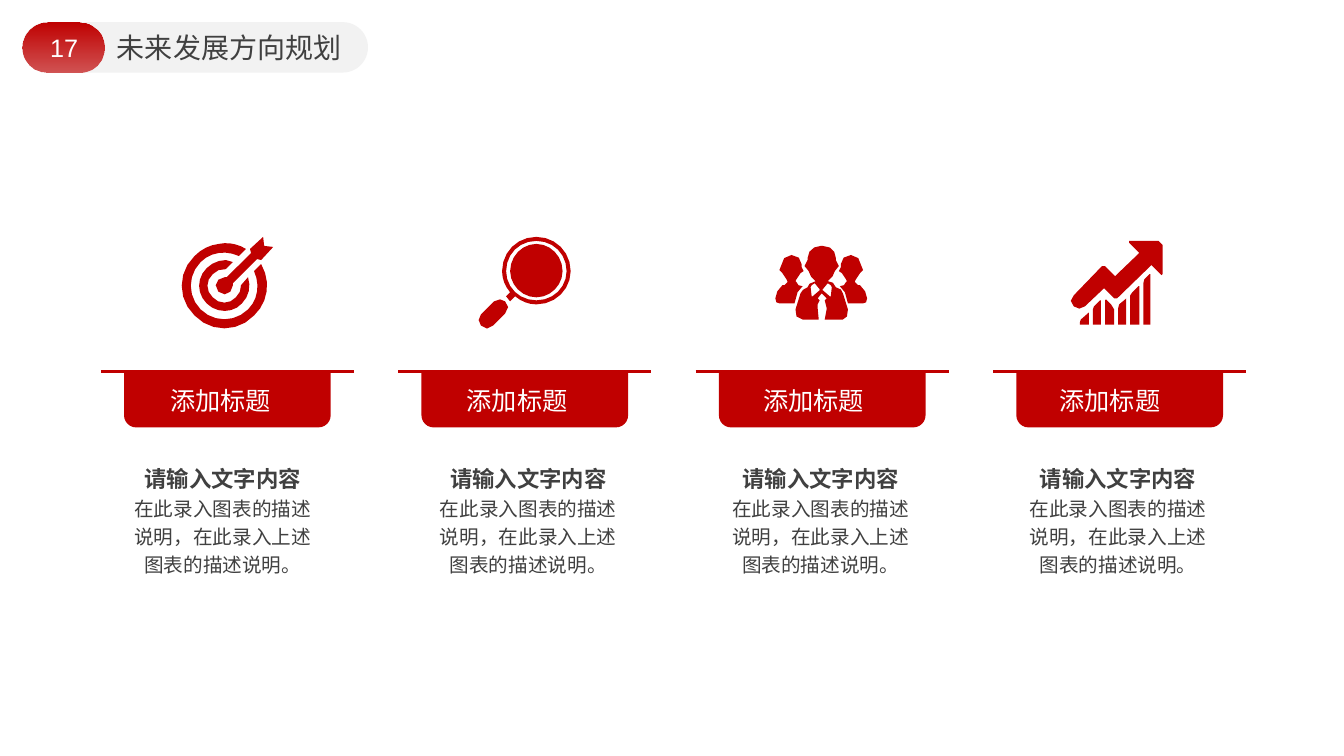
from dataclasses import dataclass
from math import dist
from typing import NamedTuple

from lxml.etree import SubElement
from pptx import Presentation
from pptx.dml.color import RGBColor
from pptx.enum.shapes import MSO_CONNECTOR as Connector, MSO_SHAPE as Preset
from pptx.enum.text import MSO_ANCHOR as Anchor, MSO_AUTO_SIZE as AutoSize, PP_ALIGN as Align
from pptx.oxml.ns import qn
from pptx.util import Inches, Pt

RED = RGBColor(0xC0, 0x00, 0x00)
GREY = RGBColor(0xF2, 0xF2, 0xF2)
DARK = RGBColor(0x40, 0x40, 0x40)
WHITE = RGBColor(0xFF, 0xFF, 0xFF)
LATIN = "Arial"
HAN = "Noto Sans CJK SC"

CELL = Inches(0.01)
GRID_COLUMNS, GRID_ROWS = 1333, 750
CARD_PITCH, HEADING_PITCH = 295, 294
ICON_SPAN = 91
CHORD, MOST_CHORDS = 6, 6

TARGET = (
    "M 44 23 C 46 24 48 24 51 25 L 44 32 C 39 32 34 33 31 37 C 24 43 24 54 31 60 C 37 67 48 67 54 60 "
    "C 58 57 59 52 59 48 L 66 40 C 69 49 67 59 60 66 C 51 76 35 76 25 66 C 15 56 15 41 25 31 C 30 26 37 23 44 23 "
    "M 37 7 C 46 5 56 7 64 12 L 57 19 C 44 13 29 15 19 25 C 6 38 6 59 19 72 C 32 85 53 85 66 72 "
    "C 76 62 78 47 72 34 L 79 27 C 89 44 86 65 72 78 C 56 95 29 95 13 78 C -4 62 -4 35 13 19 C 20 12 28 8 37 7 "
    "M 81 0 L 82 9 L 91 10 L 79 23 L 75 22 L 51 46 C 51 47 51 48 51 48 C 51 53 47 57 43 57 "
    "C 38 57 34 53 34 48 C 34 44 38 40 43 40 L 45 40 L 69 16 L 68 12"
)
MAGNIFIER = (
    "M 21 62 C 23 62 25 62 26 64 C 30 67 30 72 26 76 L 14 88 C 12 90 10 91 8 91 C 6 91 4 90 2 88 "
    "C -1 85 -1 80 2 77 L 15 64 C 16 62 19 62 21 62 "
    "M 57 7 C 71 7 83 19 83 34 C 83 48 71 60 57 60 C 43 60 31 48 31 34 C 31 19 43 7 57 7 "
    "M 57 4 C 74 4 87 17 87 34 C 87 50 74 63 57 63 C 40 63 27 50 27 34 C 27 17 40 4 57 4 "
    "M 57 0 C 76 0 91 15 91 34 C 91 52 76 67 57 67 C 49 67 42 64 36 59 L 31 64 L 27 59 L 31 55 "
    "C 26 49 23 42 23 34 C 23 15 38 0 57 0"
)
LEADER = (
    "M 45 0 L 47 0 C 55 0 60 5 60 12 L 60 14 C 63 14 64 17 63 20 C 63 22 62 24 59 25 C 58 29 56 32 52 35 "
    "C 55 35 60 37 60 41 C 64 42 67 44 67 47 L 72 63 C 73 65 73 67 71 70 C 70 71 68 73 67 73 L 49 73 L 51 62 "
    "L 50 58 L 49 54 L 51 52 L 46 47 L 42 52 L 44 54 L 42 58 L 42 62 L 43 73 L 27 73 "
    "C 24 73 22 71 21 70 C 20 68 19 65 20 63 L 25 47 C 25 45 29 42 32 41 C 32 39 34 36 40 35 "
    "C 36 32 34 29 33 25 C 30 24 29 22 29 20 C 28 17 30 14 32 14 L 32 12 C 32 5 38 0 45 0"
)
COLLAR_AND_COLLEAGUE = (
    "M 39 37 L 36 39 L 35 41 L 36 50 L 37 50 L 44 44 L 44 43 "
    "M 16 9 C 23 9 25 13 26 18 L 26 21 L 28 25 L 25 27 C 24 29 23 32 21 33 "
    "L 20 35 L 21 36 L 23 39 L 27 40 C 25 41 23 43 22 46 L 19 57 "
    "L 4 57 L 1 56 L 0 52 L 2 45 C 2 42 5 40 7 39 L 9 39 L 12 36 L 12 35 "
    "L 11 33 C 10 32 8 29 7 27 L 4 24 L 6 19 C 7 14 9 9 16 9"
)
GROWTH = (
    "M 18 71 L 18 83 L 9 83 L 9 81 L 10 78 "
    "M 30 59 L 30 83 L 22 83 L 22 68 L 23 65 L 29 59 "
    "M 35 58 L 40 63 L 43 68 L 43 83 L 34 83 L 34 59 "
    "M 55 57 L 55 83 L 47 83 L 47 67 L 48 63 L 54 58 "
    "M 68 45 L 68 83 L 59 83 L 59 54 L 61 51 L 67 45 "
    "M 79 33 L 79 83 L 72 83 L 72 42 L 73 38 L 78 33 "
    "M 58 0 L 87 0 C 89 0 91 2 91 4 L 91 33 L 90 34 L 80 24 L 46 57 L 43 57 L 33 47 L 14 65 "
    "C 11 68 6 68 3 65 C -1 62 -1 57 3 54 L 31 25 L 34 25 L 44 35 L 68 12 L 58 2"
)


class Area(NamedTuple):
    column: float
    row: float
    columns: float
    rows: float

    def lengths(self) -> list:
        return [round(cells * CELL) for cells in self]


class Style(NamedTuple):
    size: float
    color: RGBColor
    font: str = HAN
    bold: bool = False


@dataclass(frozen=True)
class Card:
    outline: str
    icon_column: int
    icon_row: int
    body_column: int
    mirrored: str = ""
    heading: str = "添加标题"
    lead: str = "请输入文字内容"
    body: str = "在此录入图表的描述说明，在此录入上述图表的描述说明。"


CARDS = [
    Card(TARGET, 180, 235, 119),
    Card(MAGNIFIER, 475, 235, 422),
    Card(LEADER + " " + COLLAR_AND_COLLEAGUE, 769, 244, 712, COLLAR_AND_COLLEAGUE),
    Card(GROWTH, 1062, 239, 1007),
]


def bezier(points: list, share: float) -> tuple:
    while len(points) > 1:
        points = [(a + (c - a) * share, b + (d - b) * share) for (a, b), (c, d) in zip(points, points[1:])]
    return points[0]


def trace(outline: str) -> list:
    contours = []
    tokens = iter(outline.split())
    for command in tokens:
        points = [(float(next(tokens)), float(next(tokens))) for _ in range(3 if command == "C" else 1)]
        if command == "M":
            contours.append(points)
        elif command == "L":
            contours[-1] += points
        else:
            controls = [contours[-1][-1]] + points
            chords = max(1, min(MOST_CHORDS, round(dist(controls[0], controls[-1]) / CHORD)))
            contours[-1] += [bezier(controls, step / chords) for step in range(1, chords + 1)]
    return contours


def paint(shape, color: RGBColor) -> None:
    shape.shadow.inherit = False
    shape.fill.solid()
    shape.fill.fore_color.rgb = color
    shape.line.fill.background()


def add_block(page, preset: Preset, area: Area, color: RGBColor, *adjustments: float):
    block = page.shapes.add_shape(preset, *area.lengths())
    paint(block, color)
    for index, share in enumerate(adjustments):
        block.adjustments[index] = share
    return block


def add_icon(page, card: Card) -> None:
    contours = trace(card.outline)
    contours += [[(ICON_SPAN - x, y) for x, y in contour] for contour in trace(card.mirrored)]
    scaled = [[(x * CELL, y * CELL) for x, y in contour] for contour in contours]
    builder = page.shapes.build_freeform(*scaled[0][0])
    builder.add_line_segments(scaled[0][1:], close=True)
    for contour in scaled[1:]:
        builder.move_to(*contour[0])
        builder.add_line_segments(contour[1:], close=True)
    paint(builder.convert_to_shape(card.icon_column * CELL, card.icon_row * CELL), RED)


def add_rule(page, column: int, row: int, columns: int) -> None:
    left, top, width, _ = Area(column, row, columns, 0).lengths()
    rule = page.shapes.add_connector(Connector.STRAIGHT, left, top, left + width, top)
    rule.line.color.rgb = RED
    rule.line.width = Pt(2.25)
    SubElement(rule.element.spPr, qn("a:effectLst"))


def write(box, area: Area, align: Align, lines: list, spacing: float = 1.0, wrap: bool = True) -> None:
    box.left, box.top, box.width, box.height = area.lengths()
    frame = box.text_frame
    frame.word_wrap = wrap
    frame.auto_size = AutoSize.SHAPE_TO_FIT_TEXT
    frame.vertical_anchor = Anchor.TOP
    for index, (text, style) in enumerate(lines):
        para = frame.add_paragraph() if index else frame.paragraphs[0]
        para.alignment = align
        para.line_spacing = spacing
        span = para.add_run()
        span.text = text
        span.font.size = Pt(style.size)
        span.font.bold = style.bold
        span.font.color.rgb = style.color
        span.font.name = style.font
        SubElement(span.font._element, qn("a:ea"), typeface=style.font)


def add_header(page) -> None:
    title = page.shapes.title
    pill = add_block(page, Preset.ROUNDED_RECTANGLE, Area(22, 22, 343, 50), GREY, 0.5)
    badge = add_block(page, Preset.ROUNDED_RECTANGLE, Area(22, 22, 82, 50), RED, 0.5)
    badge.fill.gradient()
    badge.fill.gradient_angle = 270
    for stop in badge.fill.gradient_stops:
        stop.color.rgb = RED
    SubElement(list(badge.element.iter(qn("a:srgbClr")))[-1], qn("a:alpha"), val="65000")
    number = page.shapes.add_textbox(0, 0, 0, 0)
    write(number, Area(38, 27, 51, 40), Align.CENTER, [("17", Style(18, WHITE, LATIN))], wrap=False)
    for backdrop in (pill, badge, number):
        title.element.addprevious(backdrop.element)
    write(title, Area(106, 25, 245, 44), Align.LEFT, [("未来发展方向规划", Style(20, DARK, LATIN))])


def add_card(page, index: int, card: Card) -> None:
    shift = index * CARD_PITCH
    add_block(page, Preset.ROUND_2_SAME_RECTANGLE, Area(123 + shift, 369, 205, 55), RED, 0, 0.22)
    add_rule(page, 100 + shift, 369, 251)
    heading = page.shapes.add_textbox(0, 0, 0, 0)
    write(heading, Area(159 + index * HEADING_PITCH, 377, 137, 40), Align.JUSTIFY, [(card.heading, Style(18, WHITE))])
    add_icon(page, card)
    body = page.shapes.add_textbox(0, 0, 0, 0)
    lines = [(card.lead, Style(16, DARK, bold=True)), (card.body, Style(14, DARK))]
    write(body, Area(card.body_column, 451, 204, 123), Align.CENTER, lines, spacing=1.2)


def main() -> None:
    deck = Presentation()
    deck.slide_width, deck.slide_height = GRID_COLUMNS * CELL, GRID_ROWS * CELL
    page = deck.slides.add_slide(deck.slide_layouts[5])
    add_header(page)
    for index, card in enumerate(CARDS):
        add_card(page, index, card)
    deck.save("out.pptx")


if __name__ == "__main__":
    main()
